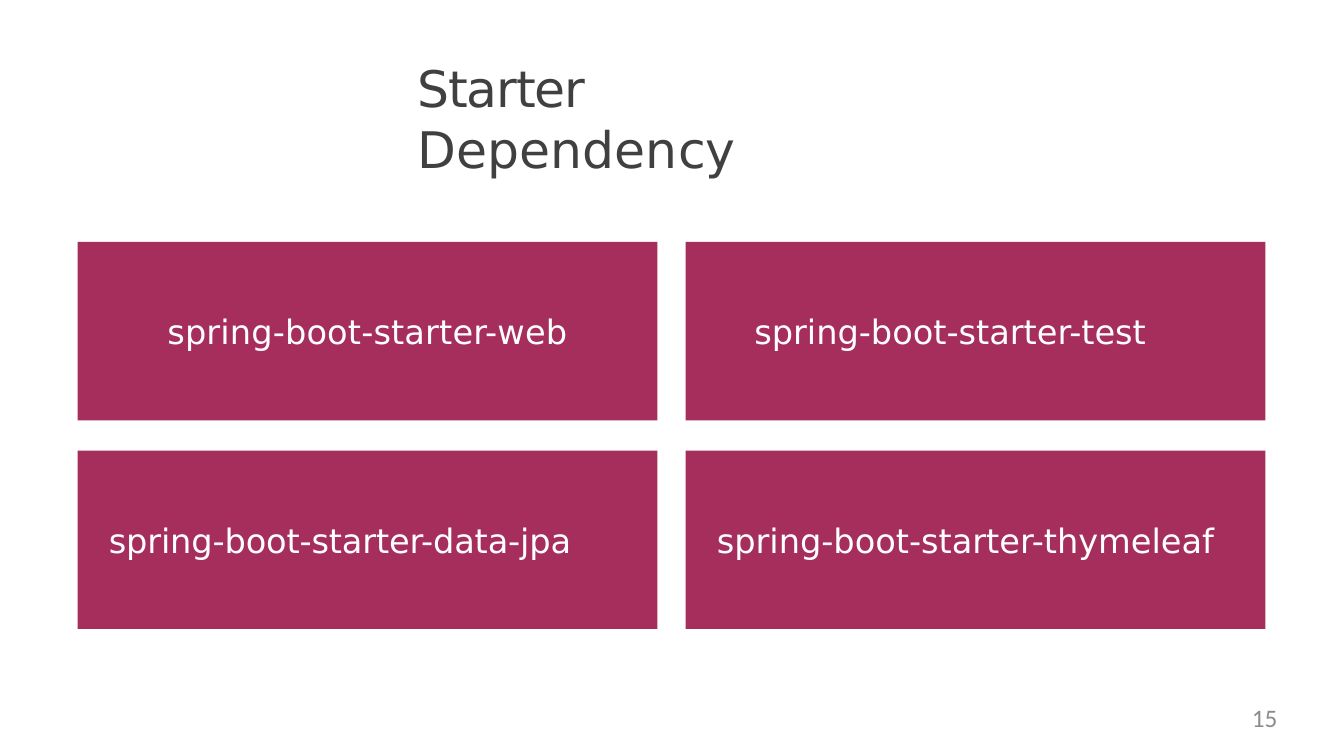
from pptx import Presentation
from pptx import util as u
from pptx.dml.color import RGBColor
from pptx.enum import shapes, text

TITLE = [("Starter ", -85), ("Dependency", 12)]
CENTER, LEFT = text.PP_ALIGN.CENTER, text.PP_ALIGN.LEFT
STARTERS = [
    [("spring-boot-starter-web", CENTER, 0, 0, 10),
     ("spring-boot-starter-test", CENTER, 0, 0.5, 0)],
    [("spring-boot-starter-data-jpa", LEFT, 0.31, 0, -10),
     ("spring-boot-starter-thymeleaf", LEFT, 0.31, 0, 0)],
]
PAGE = "15"

BERRY = RGBColor(0xA6, 0x2E, 0x5C)
WHITE = RGBColor(0xFF, 0xFF, 0xFF)
DARK = RGBColor(0x40, 0x40, 0x40)
GREY = RGBColor(0x8C, 0x8C, 0x8C)
FONT = "DejaVu Sans"

GRID_X, GRID_Y = 0.77, 2.4
CARD_W, CARD_H = 5.75, 1.77
GAP_X, GAP_Y = 0.28, 0.3


def set_frame(tf, anchor, left=0, right=0):
    tf.word_wrap = True
    tf.vertical_anchor = anchor
    tf.margin_left, tf.margin_right = u.Inches(left), u.Inches(right)
    tf.margin_top = tf.margin_bottom = 0


def set_font(p, name, size, color, align):
    p.alignment = align
    p.font.name, p.font.size = name, u.Pt(size)
    p.font.color.rgb = color


def add_run(p, words, spacing=0):
    r = p.add_run()
    r.text = words
    if spacing:
        r._r.get_or_add_rPr().set("spc", str(spacing))


def box(x, y, w, h):
    return [u.Inches(v) for v in (x, y, w, h)]


def main():
    prs = Presentation()
    prs.slide_width, prs.slide_height = u.Inches(13.33), u.Inches(7.5)
    s = prs.slides.add_slide(prs.slide_layouts[5])

    title = s.shapes.title
    title.left, title.top, title.width, title.height = box(4.13, 0.57, 4.98, 0.63)
    tf = title.text_frame
    set_frame(tf, text.MSO_ANCHOR.TOP, left=0.01)
    tf.auto_size = text.MSO_AUTO_SIZE.NONE
    p = tf.paragraphs[0]
    set_font(p, FONT, 36, DARK, LEFT)
    p.space_before = u.Pt(1)
    for words, spacing in TITLE:
        add_run(p, words, spacing)

    for row, cards in enumerate(STARTERS):
        for col, (name, align, left, right, spacing) in enumerate(cards):
            x = GRID_X + col * (CARD_W + GAP_X)
            y = GRID_Y + row * (CARD_H + GAP_Y)
            sp = s.shapes.add_shape(shapes.MSO_SHAPE.RECTANGLE,
                                    *box(x, y, CARD_W, CARD_H))
            sp.shadow.inherit = False
            sp.fill.solid()
            sp.fill.fore_color.rgb = BERRY
            sp.line.fill.background()
            set_frame(sp.text_frame, text.MSO_ANCHOR.MIDDLE, left, right)
            p = sp.text_frame.paragraphs[0]
            set_font(p, FONT, 24, WHITE, align)
            add_run(p, name, spacing)

    tf = s.shapes.add_textbox(*box(9.6, 6.97, 3.07, 0.38)).text_frame
    set_frame(tf, text.MSO_ANCHOR.TOP)
    p = tf.paragraphs[0]
    set_font(p, "Calibri", 18, GREY, text.PP_ALIGN.RIGHT)
    add_run(p, PAGE)

    prs.save("out.pptx")


if __name__ == "__main__":
    main()
